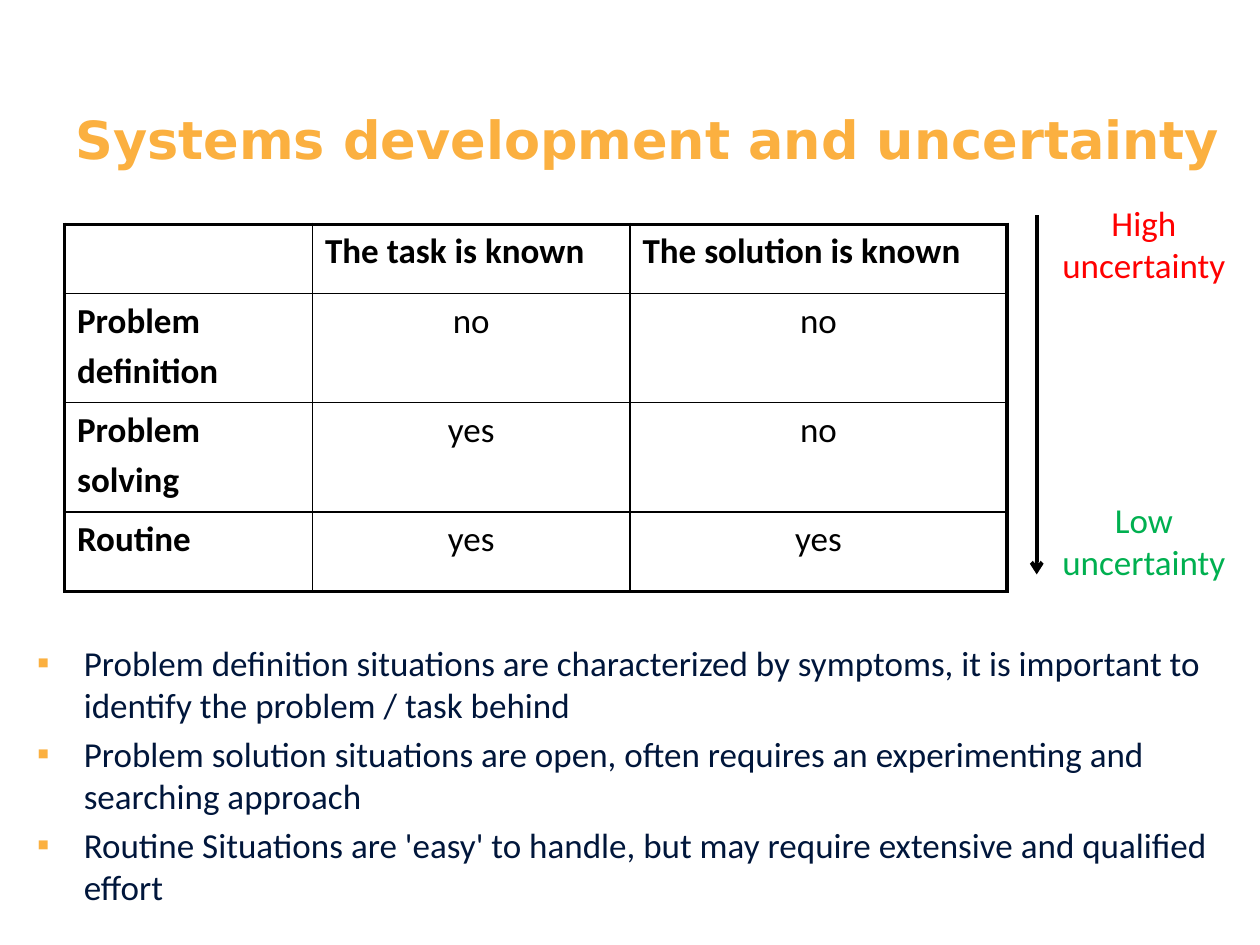
from lxml.etree import SubElement
from pptx import Presentation
from pptx.dml.color import RGBColor
from pptx.enum.shapes import MSO_CONNECTOR
from pptx.enum.text import MSO_ANCHOR, PP_ALIGN as Align
from pptx.oxml.ns import qn
from pptx.util import Cm, Pt

ORANGE, NAVY, BLACK = "FBB040", "00163B", "000000"
BODY = {"name": "Calibri", "size": Pt(20), "bold": False}


def rgb(color):
    return RGBColor.from_string(color)


def write(frame, lines, color, align=Align.LEFT, gap=0, bullet=None, **changes):
    """Fill a text frame, one paragraph per line, with gap points between them."""
    for number, line in enumerate(lines):
        paragraph = frame.paragraphs[0] if number == 0 else frame.add_paragraph()
        paragraph.alignment = align
        paragraph.space_before = Pt(gap if number else 0)
        if bullet:
            props = paragraph._p.get_or_add_pPr()
            props.set("marL", str(Cm(0.94)))
            props.set("indent", str(-Cm(0.94)))
            bullet_color = SubElement(props, qn("a:buClr"))
            SubElement(bullet_color, qn("a:srgbClr"), val=ORANGE)
            SubElement(props, qn("a:buFont"), typeface="Calibri")
            SubElement(props, qn("a:buChar"), char=bullet)
        run = paragraph.add_run()
        run.text = line
        for key, value in {**BODY, **changes}.items():
            setattr(run.font, key, value)
        run.font.color.rgb = rgb(color)


prs = Presentation()
prs.slide_width, prs.slide_height = Cm(25.4), Cm(19.05)
slide = prs.slides.add_slide(prs.slide_layouts[6])
shapes = slide.shapes

# Title
title = shapes.add_textbox(Cm(1.27), Cm(2.03), Cm(23.75), Cm(3.18)).text_frame
title.word_wrap = True
write(title, ["Systems development and uncertainty"], ORANGE,
      name="DejaVu Sans", size=Pt(30), bold=True)

# Situations table
situations = [
    ["", "The task is known", "The solution is known"],
    ["Problem\ndefinition", "no", "no"],
    ["Problem\nsolving", "yes", "no"],
    ["Routine", "yes", "yes"],
]
widths, heights = [5, 6.4, 7.6], [1.4, 2.2, 2.2, 1.6]
last_row, last_col = len(heights) - 1, len(widths) - 1
table = shapes.add_table(len(heights), len(widths), Cm(1.3), Cm(4.52),
                         Cm(sum(widths)), Cm(sum(heights))).table
table.first_row = table.horz_banding = False
for column, width in zip(table.columns, widths):
    column.width = Cm(width)
for r, (row, height) in enumerate(zip(table.rows, heights)):
    row.height = Cm(height)
    for c, cell in enumerate(row.cells):
        cell.vertical_anchor = MSO_ANCHOR.TOP
        heading = r == 0 or c == 0
        if situations[r][c]:
            write(cell.text_frame, situations[r][c].split("\n"), BLACK,
                  Align.LEFT if heading else Align.CENTER, gap=4, bold=heading)
        outer = {"L": c == 0, "R": c == last_col, "T": r == 0, "B": r == last_row}
        cell_props = cell._tc.get_or_add_tcPr()
        for side, is_outer in outer.items():
            border = SubElement(cell_props, qn(f"a:ln{side}"),
                                w=str(Pt(2.25 if is_outer else 1)))
            SubElement(SubElement(border, qn("a:solidFill")), qn("a:srgbClr"), val=BLACK)
        cell.fill.background()

# Uncertainty scale
scale = shapes.add_connector(MSO_CONNECTOR.STRAIGHT, Cm(20.9), Cm(4.34), Cm(20.9), Cm(11.58))
scale.line.color.rgb = rgb(BLACK)
scale.line.width = Pt(2.25)
SubElement(scale.line._get_or_add_ln(), qn("a:tailEnd"), type="arrow")
SubElement(scale._element.spPr, qn("a:effectLst"))
for level, top, color in [("High", 3.94, "FF0000"), ("Low", 9.93, "00B050")]:
    label = shapes.add_textbox(Cm(21.14), Cm(top), Cm(3.84), Cm(1.96)).text_frame
    label.word_wrap = False
    write(label, [level, "uncertainty"], color, Align.CENTER)

# Remarks
remarks = shapes.add_textbox(Cm(0.5), Cm(12.8), Cm(24.13), Cm(5.85)).text_frame
remarks.word_wrap = True
write(remarks, [
    "Problem definition situations are characterized by symptoms, "
    "it is important to identify the problem / task behind",
    "Problem solution situations are open, often requires an experimenting "
    "and searching approach",
    "Routine Situations are 'easy' to handle, but may require extensive "
    "and qualified effort",
], NAVY, gap=4, bullet="▪")

prs.save("out.pptx")
